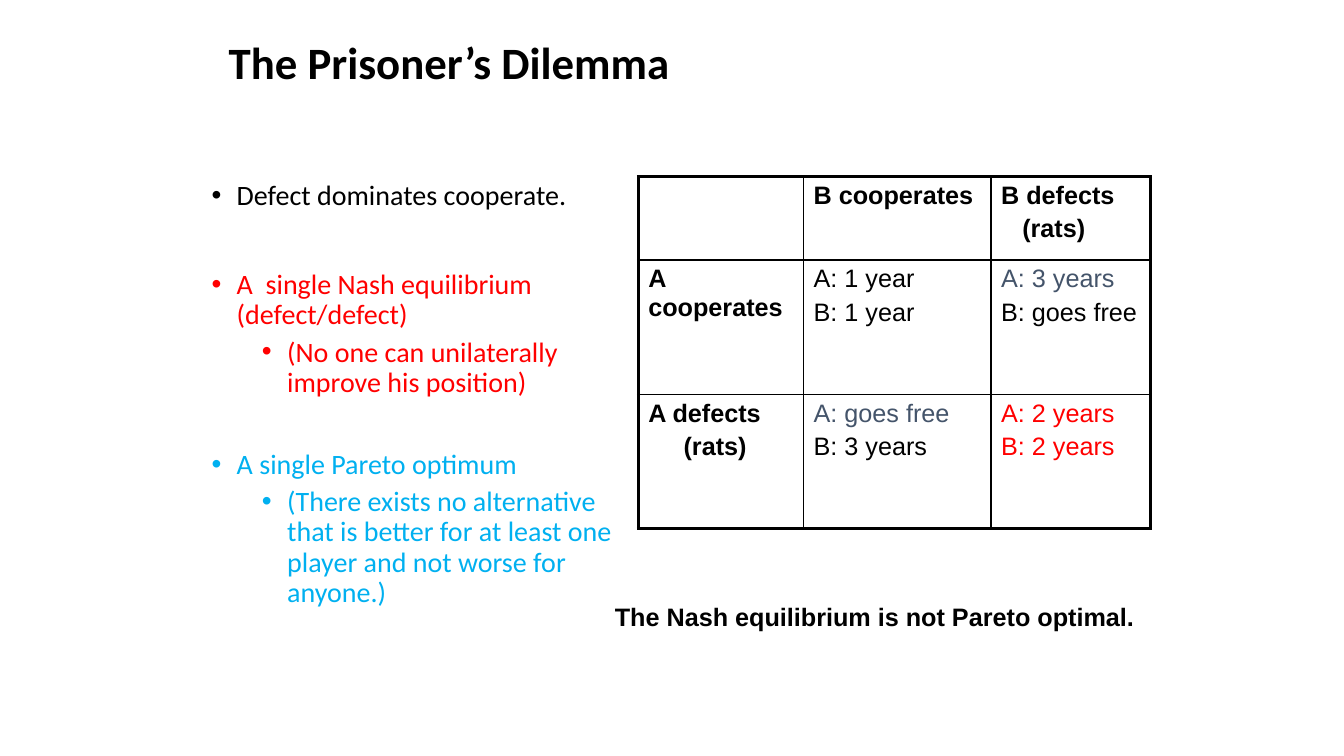
from pptx import Presentation
from pptx.dml.color import RGBColor
from pptx.enum.text import MSO_ANCHOR as Anchor
from pptx.oxml.ns import qn
from pptx.util import Inches, Pt
from lxml.etree import SubElement

BLACK = RGBColor(0x00, 0x00, 0x00)
RED = RGBColor(0xFF, 0x00, 0x00)
SKY = RGBColor(0x00, 0xB0, 0xF0)
SLATE = RGBColor(0x44, 0x54, 0x6A)

THIN, THICK = Pt(1), Pt(2.25)

# Level, space before, colour, text
POINTS = [
    (0, 0, BLACK, "Defect dominates cooperate."),
    (0, 42, RED, "A  single Nash equilibrium (defect/defect)"),
    (1, 5, RED, "(No one can unilaterally improve his position)"),
    (0, 37, SKY, "A single Pareto optimum"),
    (1, 5, SKY, "(There exists no alternative that is better for at least "
                "one player and not worse for anyone.)"),
]

# Each cell is a list of lines: text, colour, left indent in inches
PAYOFFS = [
    [[],
     [("B cooperates", BLACK, 0)],
     [("B defects", BLACK, 0), ("(rats)", BLACK, 0.21)]],
    [[("A cooperates", BLACK, 0)],
     [("A: 1 year", BLACK, 0), ("B: 1 year", BLACK, 0)],
     [("A: 3 years", SLATE, 0), ("B: goes free", BLACK, 0)]],
    [[("A defects", BLACK, 0), ("(rats)", BLACK, 0.35)],
     [("A: goes free", SLATE, 0), ("B: 3 years", BLACK, 0)],
     [("A: 2 years", RED, 0), ("B: 2 years", RED, 0)]],
]


class SlideBuilder:
    """Holds the style and the current page."""

    heading_font = "Calibri"
    table_font = "Arial"

    def __init__(self, page):
        self.page = page

    def add_span(self, para, text, font, size, color, bold=False):
        span = para.add_run()
        span.text = text
        span.font.name = font
        span.font.size = Pt(size)
        span.font.bold = bold
        span.font.color.rgb = color

    def add_box(self, left, top, width, height):
        box = self.page.shapes.add_textbox(
            Inches(left), Inches(top), Inches(width), Inches(height))
        box.text_frame.word_wrap = True
        return box.text_frame

    def add_line(self, text, place, font, size, anchor=Anchor.TOP):
        frame = self.add_box(*place)
        frame.vertical_anchor = anchor
        self.add_span(frame.paragraphs[0], text, font, size, BLACK, bold=True)

    def add_bullets(self, points, place):
        frame = self.add_box(*place)
        for index, (level, space, color, text) in enumerate(points):
            para = frame.add_paragraph() if index else frame.paragraphs[0]
            para.level = level
            para.line_spacing = 0.9
            para.space_before = Pt(space)
            properties = para._p.get_or_add_pPr()
            properties.set("marL", str(Inches(0.25 + 0.5 * level)))
            properties.set("indent", str(Inches(-0.25)))
            SubElement(properties, qn("a:buFont"), typeface="Arial")
            SubElement(properties, qn("a:buChar"), char="•")
            self.add_span(para, text, self.heading_font, 20, color)

    def add_borders(self, cell, outer_sides):
        properties = cell._tc.get_or_add_tcPr()
        for side in "LRTB":
            width = THICK if side in outer_sides else THIN
            line = SubElement(properties, qn("a:ln" + side), w=str(width))
            fill = SubElement(line, qn("a:solidFill"))
            SubElement(fill, qn("a:srgbClr"), val=str(BLACK))

    def fill_cell(self, cell, lines, bold):
        for index, (text, color, indent) in enumerate(lines):
            frame = cell.text_frame
            para = frame.add_paragraph() if index else frame.paragraphs[0]
            para.space_before = Pt(3.6 if index else 0)
            para._p.get_or_add_pPr().set("marL", str(Inches(indent)))
            self.add_span(para, text, self.table_font, 18, color, bold)

    def add_matrix(self, rows, place, widths, heights):
        table = self.page.shapes.add_table(
            len(heights), len(widths), *map(Inches, place)).table
        table.first_row = table.horz_banding = False
        for column, width in zip(table.columns, widths):
            column.width = Inches(width)
        last_row, last_column = len(heights) - 1, len(widths) - 1
        for r, cells in enumerate(rows):
            table.rows[r].height = Inches(heights[r])
            for c, lines in enumerate(cells):
                cell = table.cell(r, c)
                edges = {"L": c == 0, "R": c == last_column,
                         "T": r == 0, "B": r == last_row}
                self.add_borders(cell, [s for s in edges if edges[s]])
                cell.fill.background()
                self.fill_cell(cell, lines, bold=r == 0 or c == 0)


def main():
    deck = Presentation()
    deck.slide_width, deck.slide_height = Inches(13.33), Inches(7.5)
    builder = SlideBuilder(deck.slides.add_slide(deck.slide_layouts[6]))

    # Payoff matrix
    builder.add_matrix(PAYOFFS, (6.33, 1.75, 5.08, 3.5),
                       widths=(1.64, 1.86, 1.58), heights=(0.83, 1.33, 1.33))

    # Title, argument and conclusion
    builder.add_line("The Prisoner’s Dilemma", (2.17, 0.3, 9, 0.62),
                     builder.heading_font, 32, Anchor.MIDDLE)
    builder.add_bullets(POINTS, (2, 1.75, 4.17, 4.95))
    builder.add_line("The Nash equilibrium is not Pareto optimal.",
                     (6, 5.92, 5.58, 0.4), builder.table_font, 18)

    deck.save("out.pptx")


if __name__ == "__main__":
    main()
